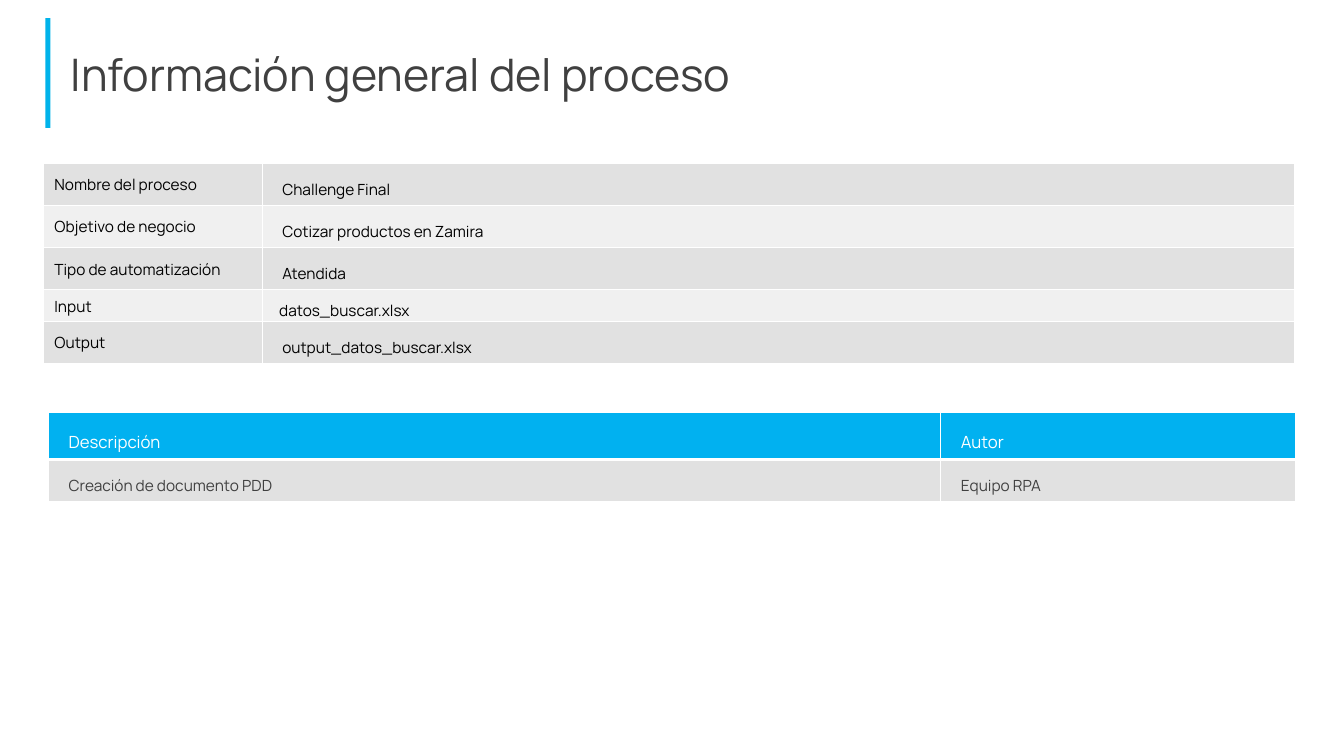
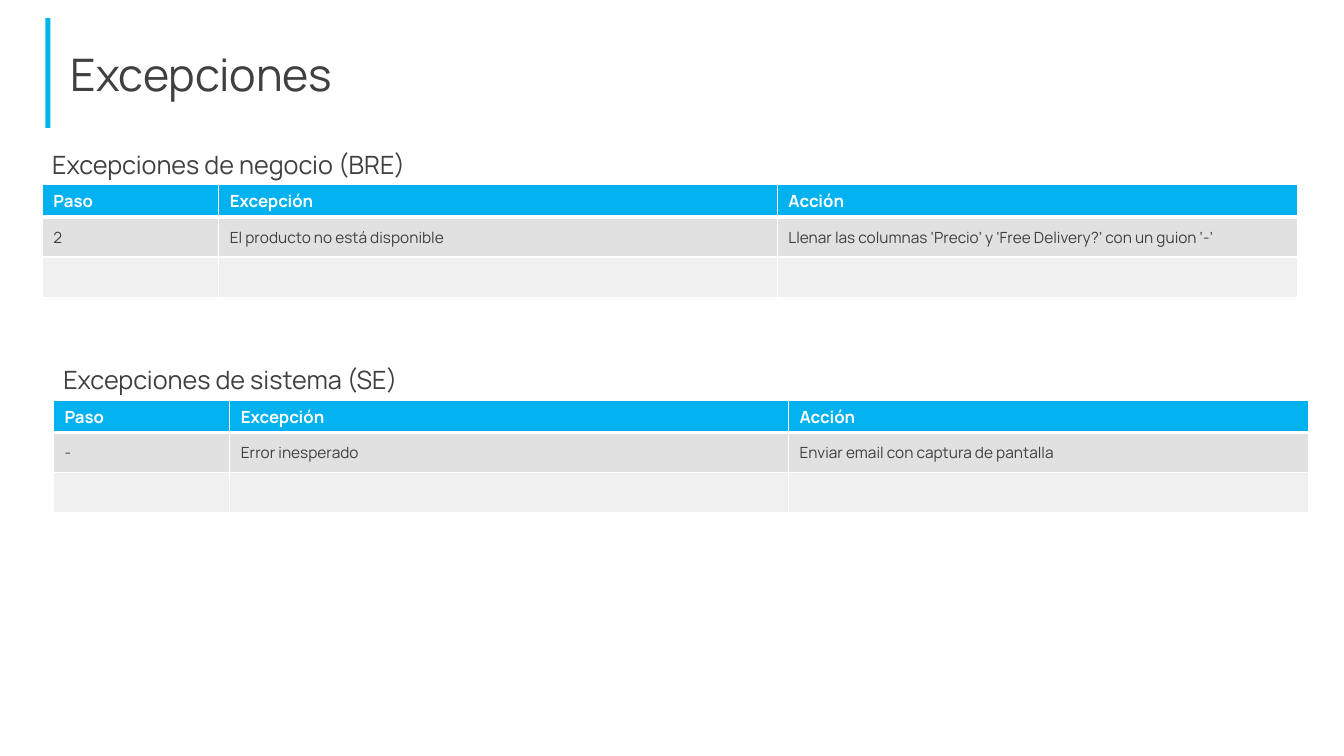
from lxml.etree import SubElement
from pptx import Presentation
from pptx.dml.color import RGBColor
from pptx.enum.shapes import MSO_SHAPE as Shape
from pptx.enum.text import MSO_ANCHOR as Anchor, MSO_AUTO_SIZE as Fit, PP_ALIGN as Align
from pptx.oxml.ns import qn
from pptx.util import Inches, Pt

FONT = "Manrope"
BLACK = RGBColor(0, 0, 0)
WHITE = RGBColor(255, 255, 255)
GRAY = RGBColor(0x40, 0x40, 0x40)
BAR = RGBColor(0x00, 0xB3, 0xEA)
BLUE = RGBColor(0x01, 0xB1, 0xF0)
BANDS = RGBColor(0xE1, 0xE1, 0xE1), RGBColor(0xF0, 0xF0, 0xF0)

# Cell insets: left, top, right, bottom, with the text indent in the left one
TIGHT = 0.11, 0.01, 0.01, 0
LOOSE = 0.2, 0.05, 0.1, 0.05
FLAT = 0.17, 0, 0.07, 0


def write(frame, text, size=11, color=GRAY, bold=False, lead=None, before=None):
    para = frame.paragraphs[0]
    para.alignment = Align.LEFT
    para.line_spacing = lead
    para.space_before = before
    run = para.add_run()
    run.text = text
    font = run.font
    font.name, font.size, font.bold = FONT, Pt(size), bold
    font.color.rgb = color


def edge(cell, **widths):
    """Draw white cell borders; widths in points by side: L, R, T, B."""
    props = cell._tc.get_or_add_tcPr()
    for side, width in widths.items():
        line = SubElement(props, qn(f"a:ln{side}"), w=str(Pt(width)))
        fill = SubElement(line, qn("a:solidFill"))
        SubElement(fill, qn("a:srgbClr"), val=str(WHITE))


class Deck:
    def __init__(self):
        self.prs = Presentation()
        self.prs.slide_width = Inches(13.33)
        self.prs.slide_height = Inches(7.5)
        self.slide = None

    def page(self, title):
        self.slide = self.prs.slides.add_slide(self.prs.slide_layouts[5])
        bar = self.slide.shapes.add_shape(
            Shape.RECTANGLE, Inches(0.45), Inches(0.18), Inches(0.05), Inches(1.09))
        bar.shadow.inherit = False
        bar.fill.solid()
        bar.fill.fore_color.rgb = BAR
        bar.line.fill.background()
        head = self.slide.shapes.title
        head.left, head.top = Inches(0.6), Inches(0.28)
        head.width, head.height = Inches(11.5), Inches(0.9)
        frame = head.text_frame
        frame.auto_size = Fit.NONE
        frame.vertical_anchor = Anchor.MIDDLE
        write(frame, title, size=32)

    def label(self, text, left, top):
        box = self.slide.shapes.add_textbox(
            Inches(left), Inches(top), Inches(10), Inches(0.4))
        frame = box.text_frame
        frame.word_wrap = True
        frame.vertical_anchor = Anchor.BOTTOM
        write(frame, text, size=18, lead=0.9, before=Pt(10))

    def table(self, left, top, cols, highs, rows, pads, header=True, bold=False, color=GRAY):
        """Add a banded table; pads(row, col) gives the insets of a cell."""
        grid = self.slide.shapes.add_table(
            len(rows), len(cols), Inches(left), Inches(top),
            Inches(sum(cols)), Inches(sum(highs))).table
        grid.first_row = grid.horz_banding = False
        for col, width in zip(grid.columns, cols):
            col.width = Inches(width)
        for r, (high, texts) in enumerate(zip(highs, rows)):
            grid.rows[r].height = Inches(high)
            top_row = header and r == 0
            for c, text in enumerate(texts):
                cell = grid.cell(r, c)
                edge(cell, L=1, R=1, T=3 if header and r == 1 else 1, B=3 if top_row else 1)
                cell.fill.solid()
                cell.fill.fore_color.rgb = BLUE if top_row else BANDS[(r - header) % 2]
                cell.vertical_anchor = Anchor.MIDDLE
                pad = pads(r, c)
                (cell.margin_left, cell.margin_top,
                 cell.margin_right, cell.margin_bottom) = map(Inches, pad)
                if text:
                    write(cell.text_frame, text, size=12 if top_row else 11,
                          color=WHITE if top_row else color, bold=bold and top_row,
                          lead=None if pad == TIGHT else 1.5)

    def cases(self, name, left, top, row):
        """Add a labelled table of exceptions, with one spare row."""
        self.label(name, left, top)
        self.table(left, top + 0.4, [1.75, 5.54, 5.16], [0.32, 0.4, 0.4],
                   [["Paso", "Excepción", "Acción"], row, [""] * 3],
                   lambda r, c: TIGHT, bold=True)


def main():
    deck = Deck()
    deck.page("Información general del proceso")
    facts = [
        ["Nombre del proceso", "Challenge Final"],
        ["Objetivo de negocio", "Cotizar productos en Zamira"],
        ["Tipo de automatización", "Atendida"],
        ["Input", "datos_buscar.xlsx"],
        ["Output", "output_datos_buscar.xlsx"],
    ]
    deck.table(0.43, 1.62, [2.17, 10.24], [0.41, 0.42, 0.42, 0.31, 0.41], facts,
               lambda r, c: TIGHT if c == 0 else FLAT if r == 3 else LOOSE,
               header=False, color=BLACK)
    deck.table(0.48, 4.09, [8.85, 3.52], [0.47, 0.41],
               [["Descripción", "Autor"], ["Creación de documento PDD", "Equipo RPA"]],
               lambda r, c: LOOSE)

    deck.page("Excepciones")
    deck.cases("Excepciones de negocio (BRE)", 0.42, 1.43,
               ["2", "El producto no está disponible",
                "Llenar las columnas ‘Precio’ y ‘Free Delivery?’ con un guion ‘-’"])
    deck.cases("Excepciones de sistema (SE)", 0.53, 3.57,
               ["-", "Error inesperado", "Enviar email con captura de pantalla"])
    deck.prs.save("out.pptx")


if __name__ == "__main__":
    main()
